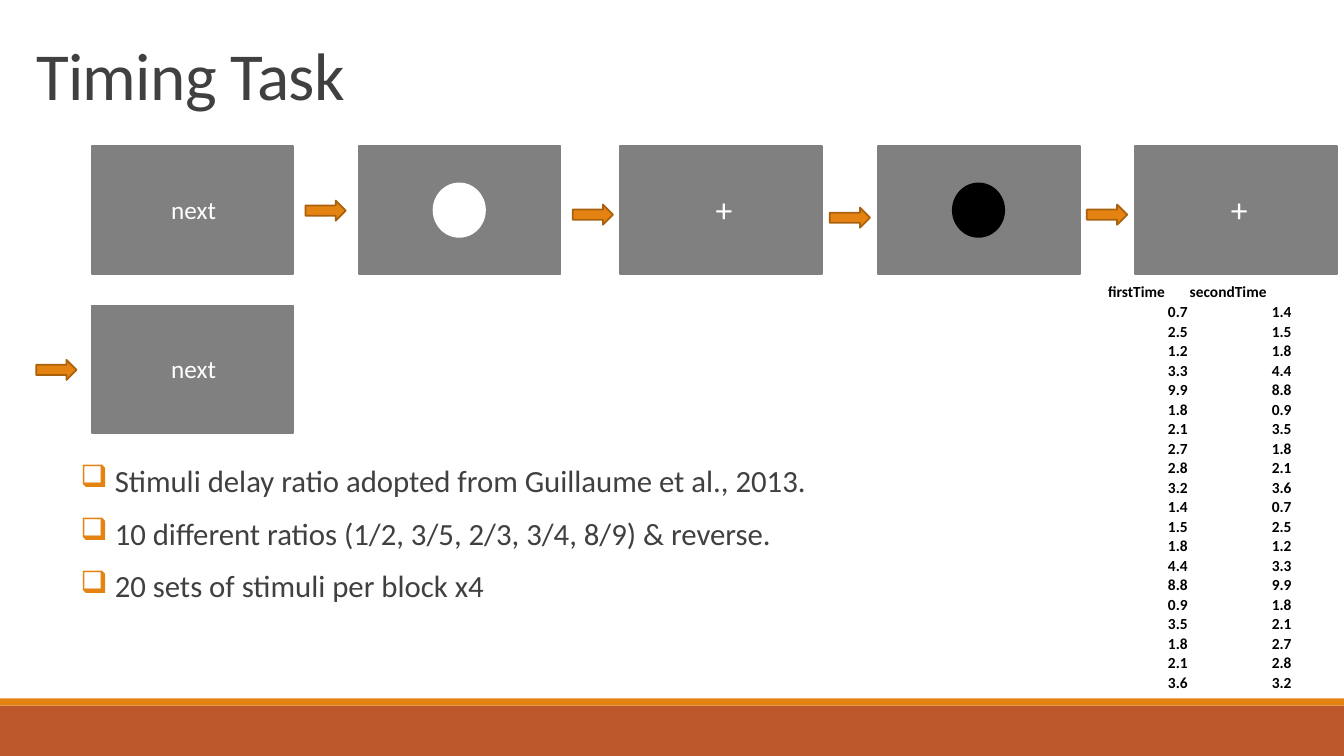
from lxml import etree
from pptx import Presentation
from pptx.dml.color import RGBColor
from pptx.enum.shapes import MSO_SHAPE
from pptx.enum.text import MSO_ANCHOR, PP_ALIGN
from pptx.oxml.ns import qn
from pptx.util import Inches, Pt

RECTANGLE = MSO_SHAPE.RECTANGLE
OVAL = MSO_SHAPE.OVAL
RIGHT_ARROW = MSO_SHAPE.RIGHT_ARROW
BOTTOM = MSO_ANCHOR.BOTTOM
LEFT = PP_ALIGN.LEFT
RIGHT = PP_ALIGN.RIGHT

FONT = "Calibri"
WHITE = RGBColor(0xFF, 0xFF, 0xFF)
BLACK = RGBColor(0x00, 0x00, 0x00)
GRAY = RGBColor(0x80, 0x80, 0x80)
DARK = RGBColor(0x40, 0x40, 0x40)
ORANGE = RGBColor(0xE4, 0x83, 0x12)
BROWN = RGBColor(0xA9, 0x61, 0x0D)
RUST = RGBColor(0xBD, 0x58, 0x2C)

TOP_ROW = 1.45
SECOND_ROW = 3.03
SCREENS = [
    (0.91, TOP_ROW, "next"),
    (3.56, TOP_ROW, WHITE),
    (6.15, TOP_ROW, "+"),
    (8.71, TOP_ROW, BLACK),
    (11.26, TOP_ROW, "+"),
    (0.91, SECOND_ROW, "next"),
]
LABELS = {"next": (0.69, 0.43, 0.89, 0.4, 18), "+": (0.85, 0.38, 0.31, 0.5, 24)}
ARROWS = [(3.03, 1.99), (5.68, 2.03), (8.23, 2.06), (10.78, 2.03), (0.36, 3.57)]
NOTES = [
    " Stimuli delay ratio adopted from Guillaume et al., 2013.",
    " 10 different ratios (1/2, 3/5, 2/3, 3/4, 8/9) & reverse.",
    " 20 sets of stimuli per block x4",
]
HEADINGS = ("firstTime", "secondTime")
TIMES = [
    ("0.7", "1.4"), ("2.5", "1.5"), ("1.2", "1.8"), ("3.3", "4.4"), ("9.9", "8.8"),
    ("1.8", "0.9"), ("2.1", "3.5"), ("2.7", "1.8"), ("2.8", "2.1"), ("3.2", "3.6"),
]


def add_block(page, kind, left, top, width, height, fill, line=None):
    block = page.shapes.add_shape(
        kind, Inches(left), Inches(top), Inches(width), Inches(height)
    )
    block.shadow.inherit = False
    block.fill.solid()
    block.fill.fore_color.rgb = fill
    if line is None:
        block.line.fill.background()
    else:
        block.line.color.rgb = line
        block.line.width = Pt(1.25)


def style(para, size, color, bold=False):
    para.font.name = FONT
    para.font.size = Pt(size)
    para.font.color.rgb = color
    para.font.bold = bold


def add_text(page, left, top, width, height, lines, size, color):
    box = page.shapes.add_textbox(
        Inches(left), Inches(top), Inches(width), Inches(height)
    )
    frame = box.text_frame
    frame.word_wrap = True
    frame.text = "\n".join(lines)
    for para in frame.paragraphs:
        style(para, size, color)
    return frame.paragraphs


def add_title(page):
    para = add_text(page, 0.26, 0.4, 11, 1.59, ["Timing Task"], 48, DARK)[0]
    para.line_spacing = 0.85
    para.runs[0].font._element.set("spc", "-50")


def add_screen(page, left, top, content):
    add_block(page, RECTANGLE, left, top, 2, 1.27, GRAY, GRAY)
    if content in LABELS:
        across, down, width, height, size = LABELS[content]
        add_text(page, left + across, top + down, width, height, [content], size, WHITE)
    else:
        add_block(page, OVAL, left + 0.74, top + 0.37, 0.51, 0.53, content, content)


def add_bullet(para):
    properties = para._p.get_or_add_pPr()
    properties.set("marL", str(Inches(0.1)))
    properties.set("indent", str(-Inches(0.1)))
    color = etree.SubElement(properties, qn("a:buClr"))
    etree.SubElement(color, qn("a:srgbClr")).set("val", str(ORANGE))
    etree.SubElement(properties, qn("a:buChar")).set("char", "❑")


def add_notes(page):
    for para in add_text(page, 0.7, 4.57, 8, 5.75, NOTES, 22, DARK):
        para.line_spacing = 0.9
        para.space_before = Pt(12)
        para.space_after = Pt(2)
        properties = para._p.get_or_add_pPr()
        defaults = properties.find(qn("a:defRPr"))
        add_bullet(para)
        properties.append(defaults)


def fill_cell(cell, text, alignment):
    cell.fill.background()
    cell.vertical_anchor = BOTTOM
    cell.margin_left = cell.margin_top = cell.margin_right = Inches(0.01)
    cell.margin_bottom = 0
    cell.text = text
    para = cell.text_frame.paragraphs[0]
    para.alignment = alignment
    style(para, 11, BLACK, True)


def add_times(page):
    rows = [HEADINGS, *TIMES, *[(second, first) for first, second in TIMES]]
    table = page.shapes.add_table(
        len(rows), 2, Inches(10.98), Inches(2.8), Inches(1.84), Inches(3.99)
    ).table
    table.first_row = False
    table.horz_banding = False
    table.columns[0].width = Inches(0.81)
    table.columns[1].width = Inches(1.03)
    for row_index, row in enumerate(rows):
        for column_index, text in enumerate(row):
            alignment = RIGHT if row_index else LEFT
            fill_cell(table.cell(row_index, column_index), text, alignment)


def main():
    deck = Presentation()
    deck.slide_width = Inches(13.33)
    deck.slide_height = Inches(7.5)
    page = deck.slides.add_slide(deck.slide_layouts[6])
    add_block(page, RECTANGLE, 0, 7, 13.33, 0.5, RUST)
    add_block(page, RECTANGLE, 0, 6.93, 13.33, 0.07, ORANGE)
    add_title(page)
    for left, top, content in SCREENS:
        add_screen(page, left, top, content)
    for left, top in ARROWS:
        add_block(page, RIGHT_ARROW, left, top, 0.4, 0.2, ORANGE, BROWN)
    add_notes(page)
    add_times(page)
    deck.save("out.pptx")


if __name__ == "__main__":
    main()
